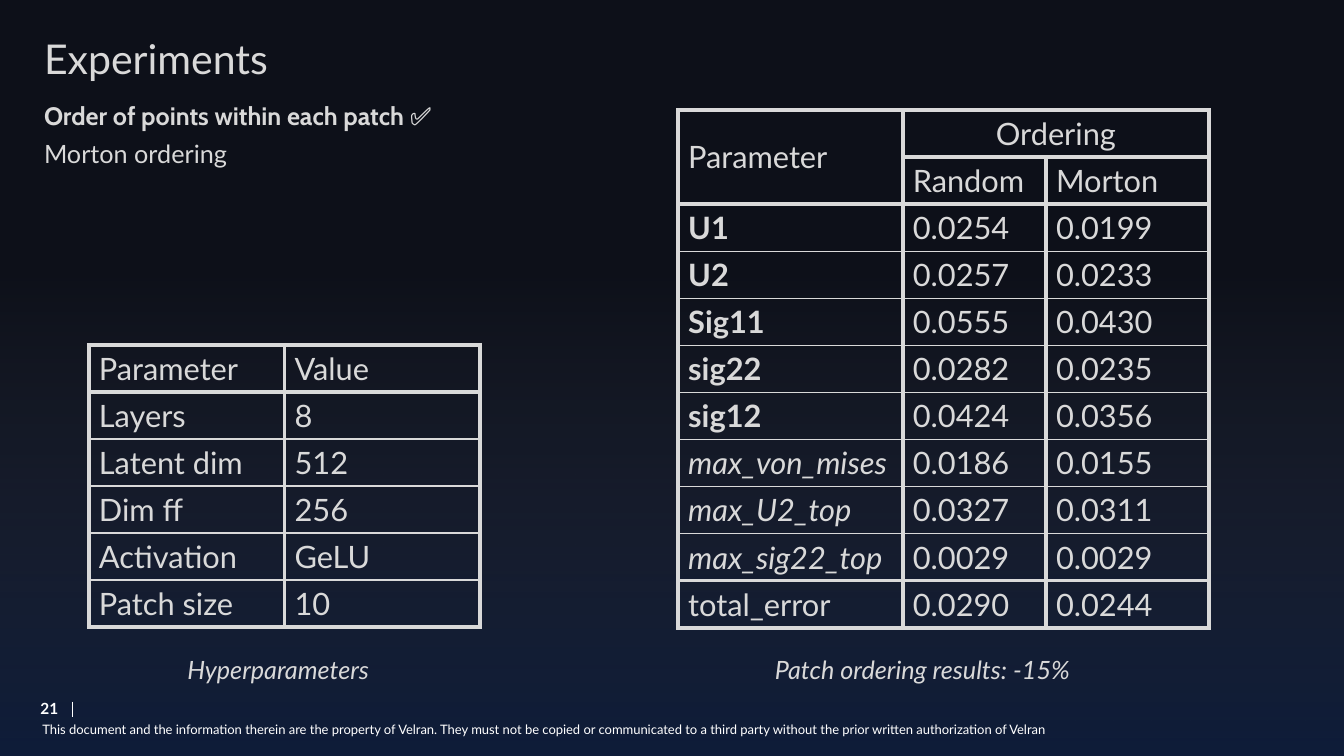
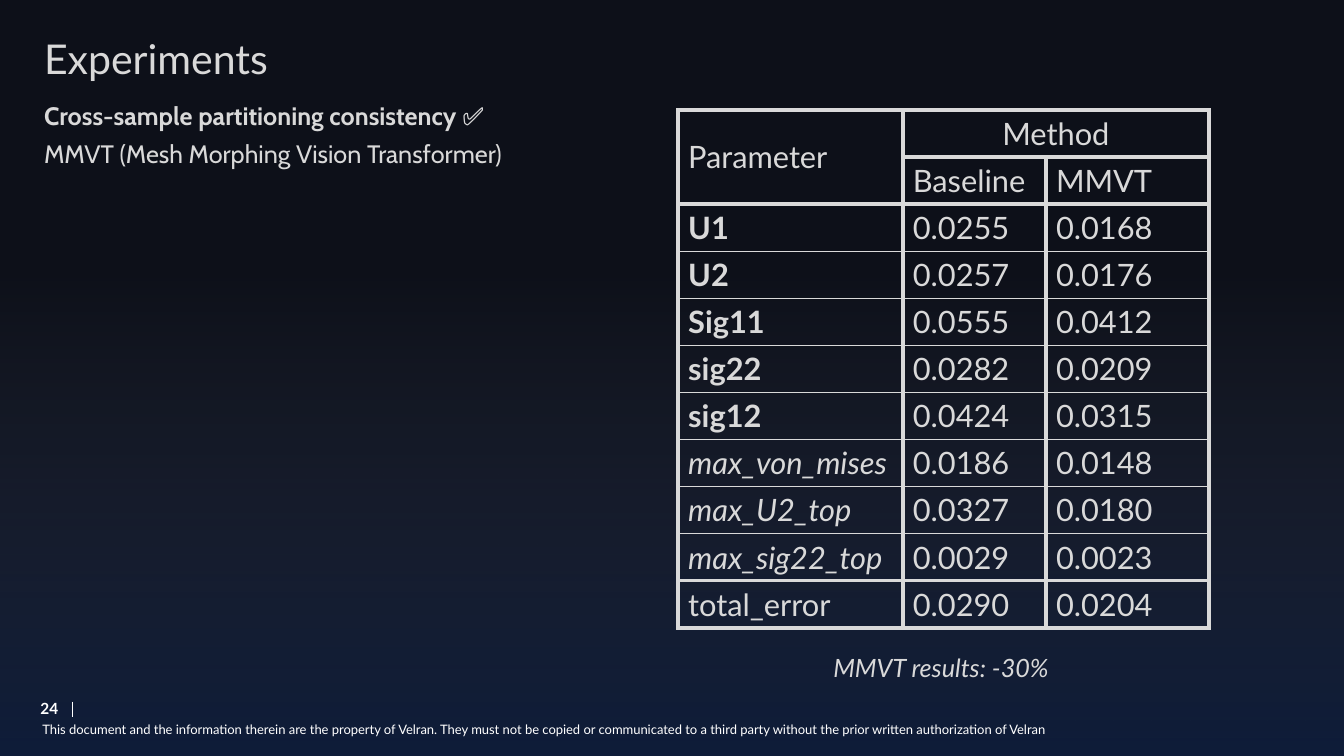
"""Build two experiment slides that compare error tables on a dark gradient."""
import pptx
import pptx.util
import pptx.dml.color
import pptx.enum.shapes
import pptx.enum.text
import pptx.oxml
import pptx.oxml.ns
from pptx.util import Cm, Pt

COLORS = {"background": "0D1019", "glow": "112753", "haze": "474E67",
          "text": "D9D9D9", "footer": "FFFFFF"}
BODY, ACCENT = "Lato", "Cabin"
TITLE = "Experiments"
FOOTER = ("This document and the information therein are the property of Velran. "
          "They must not be copied or communicated to a third party without the "
          "prior written authorization of Velran")

FIELDS = ["U1", "U2", "Sig11", "sig22", "sig12"]
MAXIMA = ["max_von_mises", "max_U2_top", "max_sig22_top"]
ERRORS = FIELDS + MAXIMA + ["total_error"]
HYPERPARAMETERS = [("Parameter", "Value"), ("Layers", "8"), ("Latent dim", "512"),
                   ("Dim ff", "256"), ("Activation", "GeLU"), ("Patch size", "10")]

SLIDES = [
    {"number": "21",
     "heading": "Order of points within each patch ✅",
     "body": ("Morton ordering", BODY),
     "group": "Ordering",
     "columns": {
         "Random": ["0.0254", "0.0257", "0.0555", "0.0282", "0.0424",
                    "0.0186", "0.0327", "0.0029", "0.0290"],
         "Morton": ["0.0199", "0.0233", "0.0430", "0.0235", "0.0356",
                    "0.0155", "0.0311", "0.0029", "0.0244"]},
     "hyperparameters": HYPERPARAMETERS,
     "captions": [("Hyperparameters", 4.47, 16.36, 5.38),
                  ("Patch ordering results: -15%", 19.28, 16.36, 8.33)]},
    {"number": "24",
     "heading": "Cross-sample partitioning consistency ✅",
     "body": ("MMVT (Mesh Morphing Vision Transformer)", ACCENT),
     "group": "Method",
     "columns": {
         "Baseline": ["0.0255", "0.0257", "0.0555", "0.0282", "0.0424",
                      "0.0186", "0.0327", "0.0029", "0.0290"],
         "MMVT": ["0.0168", "0.0176", "0.0412", "0.0209", "0.0315",
                  "0.0148", "0.0180", "0.0023", "0.0204"]},
     "hyperparameters": None,
     "captions": [("MMVT results: -30%", 20.75, 16.31, 6.07)]},
]

ROW_HEIGHT = 1.18
HEAVY = 3
MIDDLE = pptx.enum.text.MSO_ANCHOR.MIDDLE
TOP = pptx.enum.text.MSO_ANCHOR.TOP
CENTER = pptx.enum.text.PP_ALIGN.CENTER
RIGHT = pptx.enum.text.PP_ALIGN.RIGHT


def rgb(name):
    return pptx.dml.color.RGBColor.from_string(COLORS[name])


def set_font(p, size, name=BODY, color="text", bold=False, italic=False):
    p.font.size, p.font.name = Pt(size), name
    p.font.bold, p.font.italic = bold, italic
    p.font.color.rgb = rgb(color)


def add_text(s, text, box, size, wrap=True, align=None, anchor=TOP, inset=True,
             spacing=None, **font):
    tf = s.shapes.add_textbox(*map(Cm, box)).text_frame
    tf.word_wrap, tf.vertical_anchor = wrap, anchor
    if not inset:
        tf.margin_left = tf.margin_right = tf.margin_top = tf.margin_bottom = 0
    p = tf.paragraphs[0]
    p.text = text
    if align is not None:
        p.alignment = align
    if spacing:
        p.line_spacing = Pt(spacing)
    set_font(p, size, **font)


def add_glow(s):
    sp = s.shapes.add_shape(pptx.enum.shapes.MSO_SHAPE.RECTANGLE,
                            0, Cm(6.65), Cm(33.87), Cm(12.4))
    sp.shadow.inherit = False
    sp.line.fill.background()
    sp.fill.gradient()
    sp.fill.gradient_angle = 90
    for stop, name, position, opacity in zip(
            sp.fill.gradient_stops, ("glow", "haze"), (0, 1), (57, 0)):
        stop.color.rgb = rgb(name)
        stop.position = position
    for clr, opacity in zip(sp.element.spPr.iter(pptx.oxml.ns.qn("a:srgbClr")), (57, 0)):
        alpha = pptx.oxml.parse_xml(
            f'<a:alpha {pptx.oxml.ns.nsdecls("a")} val="{opacity * 1000}"/>')
        clr.append(alpha)


def add_frame(s, number):
    add_glow(s)
    add_text(s, FOOTER, (1.07, 18.19, 26.31, 0.41), 9.3, inset=False, color="footer")
    line = s.shapes.add_connector(pptx.enum.shapes.MSO_CONNECTOR.STRAIGHT,
                                  Cm(1.83), Cm(17.68), Cm(1.83), Cm(18.06))
    line.line.color.rgb, line.line.width = rgb("footer"), Pt(0.75)
    line.element.spPr.append(
        pptx.oxml.parse_xml(f'<a:effectLst {pptx.oxml.ns.nsdecls("a")}/>'))
    add_text(s, TITLE, (0.86, 0.71, 31.93, 1.65), 29.3)
    add_text(s, number, (0.48, 17.48, 1.24, 0.74), 11, wrap=False, align=RIGHT,
             anchor=MIDDLE, color="footer", bold=True)


def set_borders(cell, top, bottom):
    tcPr = cell._tc.get_or_add_tcPr()
    for side, width in zip("LRTB", (HEAVY, HEAVY, top, bottom)):
        tcPr.append(pptx.oxml.parse_xml(
            f'<a:ln{side} {pptx.oxml.ns.nsdecls("a")} w="{Pt(width)}"><a:solidFill>'
            f'<a:srgbClr val="{COLORS["text"]}"/></a:solidFill></a:ln{side}>'))


def add_table(s, rows, left, top, widths, heavy_rules, light, anchor=TOP):
    table = s.shapes.add_table(len(rows), len(widths), Cm(left), Cm(top),
                               Cm(sum(widths)), Cm(ROW_HEIGHT * len(rows))).table
    table.first_row = table.horz_banding = False
    for column, width in zip(table.columns, widths):
        column.width = Cm(width)
    rules = [HEAVY if i in heavy_rules else light for i in range(len(rows) + 1)]
    for i, row in enumerate(rows):
        table.rows[i].height = Cm(ROW_HEIGHT)
        for j, text in enumerate(row):
            cell = table.cell(i, j)
            set_borders(cell, rules[i], rules[i + 1])
            cell.fill.background()
            cell.vertical_anchor = anchor
            p = cell.text_frame.paragraphs[0]
            p.text = text
            set_font(p, 22, bold=text in FIELDS, italic=text in MAXIMA)
    return table


def add_results(s, group, columns):
    rows = [("Parameter", group, ""), ("", *columns), *zip(ERRORS, *columns.values())]
    n = len(rows)
    table = add_table(s, rows, 17.09, 2.77, (5.66, 3.61, 4.11),
                      {0, 1, 2, n - 1, n}, 1, MIDDLE)
    table.cell(0, 0).merge(table.cell(1, 0))
    table.cell(0, 1).merge(table.cell(0, 2))
    table.cell(0, 1).text_frame.paragraphs[0].alignment = CENTER


def main():
    prs = pptx.Presentation()
    prs.slide_width, prs.slide_height = Cm(33.87), Cm(19.05)
    background = prs.slide_master.background.fill
    background.solid()
    background.fore_color.rgb = rgb("background")
    for content in SLIDES:
        s = prs.slides.add_slide(prs.slide_layouts[6])
        add_frame(s, content["number"])
        body, body_font = content["body"]
        add_text(s, body, (0.86, 3.35, 22.94, 1.02), 18, name=body_font)
        add_text(s, content["heading"], (0.86, 2.67, 22.94, 0.79), 18,
                 spacing=14.2, name=ACCENT, bold=True)
        add_results(s, content["group"], content["columns"])
        rows = content["hyperparameters"]
        if rows:
            add_table(s, rows, 2.24, 8.69, (4.93, 4.93), {0, 1, len(rows)}, 1.5)
        for caption, left, top, width in content["captions"]:
            add_text(s, caption, (left, top, width, 1.02), 18, wrap=False, italic=True)
    prs.save("out.pptx")


if __name__ == "__main__":
    main()
